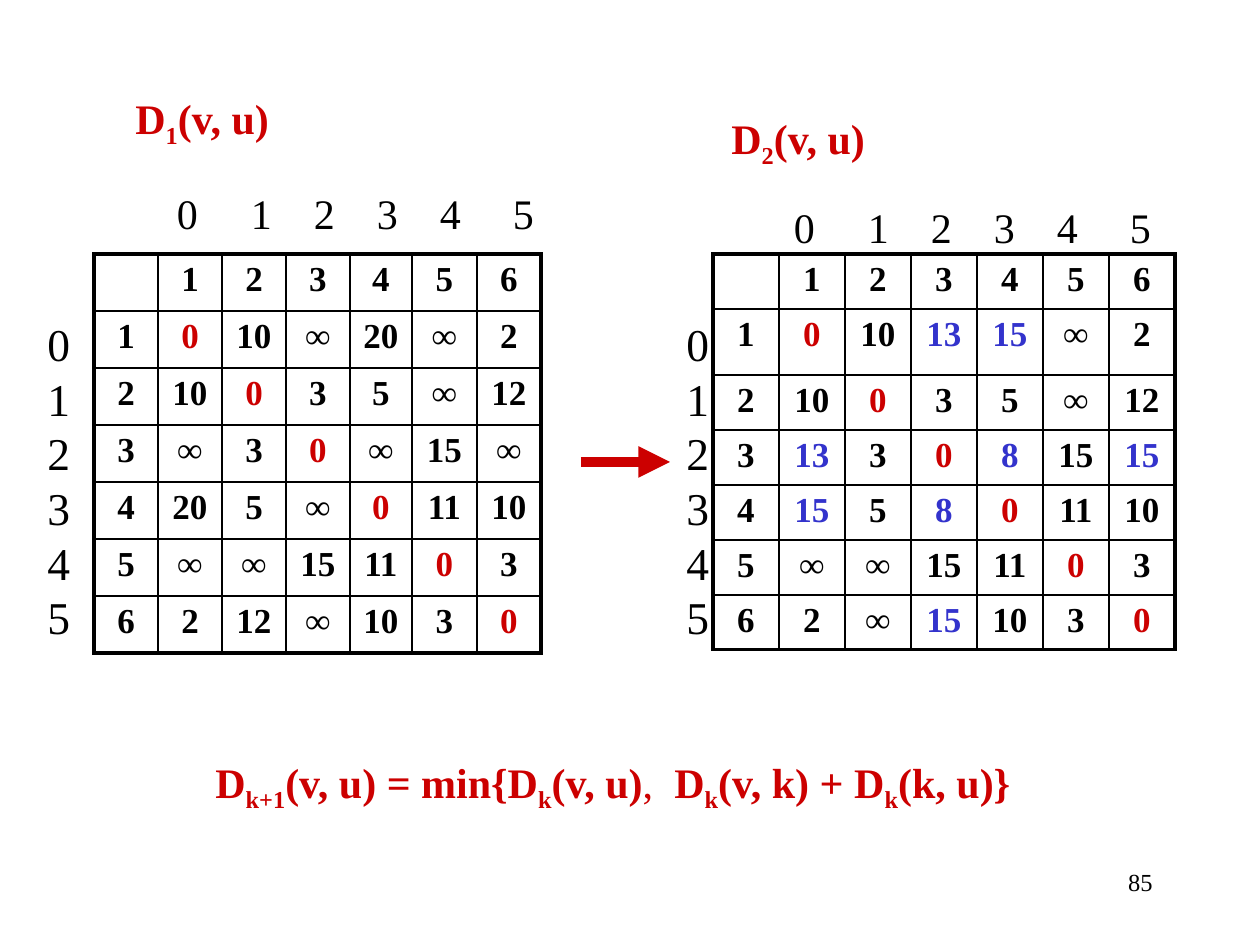
from dataclasses import dataclass

from lxml.etree import SubElement
from pptx import Presentation
from pptx.dml.color import RGBColor
from pptx.enum.shapes import MSO_CONNECTOR
from pptx.enum.text import MSO_AUTO_SIZE, PP_ALIGN
from pptx.oxml.ns import qn
from pptx.util import Emu, Pt


@dataclass(frozen=True)
class Theme:
    font: str = "Times New Roman"
    black: RGBColor = RGBColor(0x00, 0x00, 0x00)
    red: RGBColor = RGBColor(0xCC, 0x00, 0x00)
    blue: RGBColor = RGBColor(0x33, 0x33, 0xCC)
    formula: int = 24
    row_label: int = 26
    cell: int = 20
    page: int = 14
    thin: float = 1
    thick: float = 2.25
    arrow: int = 6


THEME = Theme()
INFINITY = "∞"
D1 = [
    "0 10 ∞ 20 ∞ 2".split(),
    "10 0 3 5 ∞ 12".split(),
    "∞ 3 0 ∞ 15 ∞".split(),
    "20 5 ∞ 0 11 10".split(),
    "∞ ∞ 15 11 0 3".split(),
    "2 12 ∞ 10 3 0".split(),
]
D2 = [
    "0 10 13 15 ∞ 2".split(),
    "10 0 3 5 ∞ 12".split(),
    "13 3 0 8 15 15".split(),
    "15 5 8 0 11 10".split(),
    "∞ ∞ 15 11 0 3".split(),
    "2 ∞ 15 10 3 0".split(),
]
INDICES = [str(i) for i in range(6)]


def px(n):
    return Emu(round(n * 914400 / 126))


def style_run(r, size, color, bold=False):
    r.font.name = THEME.font
    r.font.size = Pt(size)
    r.font.bold = bold
    r.font.color.rgb = color


def add_text_box(s, x, y, w, h):
    tf = s.shapes.add_textbox(px(x), px(y), px(w), px(h)).text_frame
    tf.word_wrap = True
    tf.auto_size = MSO_AUTO_SIZE.SHAPE_TO_FIT_TEXT
    return tf


def add_tab_stops(p, stops):
    tabs = SubElement(p._p.get_or_add_pPr(), qn("a:tabLst"))
    for stop in stops:
        SubElement(tabs, qn("a:tab"), pos=str(px(stop)), algn="l")


def add_formula(s, x, y, w, parts, stops=()):
    p = add_text_box(s, x, y, w, 63).paragraphs[0]
    if stops:
        add_tab_stops(p, stops)
    for text, kind in parts:
        r = p.add_run()
        r.text = text
        style_run(r, THEME.formula, THEME.red, kind != "plain")
        if kind == "sub":
            r._r.get_or_add_rPr().set("baseline", "-25000")


def add_column_labels(s, x, y):
    tf = add_text_box(s, x, y, 413, 63)
    tf.margin_left = px(23)
    p = tf.paragraphs[0]
    add_tab_stops(p, [74, 137, 200, 263, 336])
    p.text = "\t".join(INDICES)
    style_run(p.runs[0], THEME.formula, THEME.black)


def add_row_labels(s, x, y):
    tf = add_text_box(s, x, y, 105, 340)
    tf.text = "\n".join(INDICES)
    for p in tf.paragraphs:
        p.line_spacing = Pt(31.2)
        style_run(p.runs[0], THEME.row_label, THEME.black)


def add_page_number(s, number):
    p = add_text_box(s, 903, 861, 262, 63).paragraphs[0]
    p.text = number
    p.alignment = PP_ALIGN.RIGHT
    style_run(p.runs[0], THEME.page, THEME.black)


def add_arrow(s, x1, x2, y):
    line = s.shapes.add_connector(MSO_CONNECTOR.STRAIGHT, px(x1), px(y), px(x2), px(y))
    line.line.color.rgb = THEME.red
    line.line.width = Pt(THEME.arrow)
    SubElement(line.line._get_or_add_ln(), qn("a:tailEnd"), type="triangle")
    SubElement(line._element.spPr, qn("a:effectLst"))


def set_borders(cell, row, col, last):
    outer = {"lnL": col == 0, "lnR": col == last, "lnT": row == 0, "lnB": row == last}
    tcPr = cell._tc.get_or_add_tcPr()
    for tag, is_outer in outer.items():
        width = Pt(THEME.thick if is_outer else THEME.thin)
        ln = SubElement(tcPr, qn(f"a:{tag}"), w=str(width))
        fill = SubElement(ln, qn("a:solidFill"))
        SubElement(fill, qn("a:srgbClr"), val=str(THEME.black))


def cell_color(row, col, value, previous):
    if row == 0 or col == 0:
        return THEME.black
    if row == col:
        return THEME.red
    if value != INFINITY and value != previous[row - 1][col - 1]:
        return THEME.blue
    return THEME.black


def add_distance_table(s, x, y, distances, previous, widths, heights):
    nodes = [str(i + 1) for i in range(len(distances))]
    grid = [["", *nodes]] + [[node, *values] for node, values in zip(nodes, distances)]
    size = len(grid)
    frame = s.shapes.add_table(size, size, px(x), px(y), px(sum(widths)), px(sum(heights)))
    table = frame.table
    table.first_row = table.horz_banding = False
    for column, width in zip(table.columns, widths):
        column.width = px(width)
    for i, (values, height) in enumerate(zip(grid, heights)):
        table.rows[i].height = px(height)
        for j, value in enumerate(values):
            cell = table.cell(i, j)
            set_borders(cell, i, j, size - 1)
            cell.fill.background()
            if value:
                p = cell.text_frame.paragraphs[0]
                p.text = value
                p.alignment = PP_ALIGN.CENTER
                style_run(p.runs[0], THEME.cell, cell_color(i, j, value, previous), True)


def main():
    prs = Presentation()
    prs.slide_width, prs.slide_height = px(1260), px(945)
    s = prs.slides.add_slide(prs.slide_layouts[6])

    add_formula(s, 123, 86, 483, [("D", "bold"), ("1", "sub"), ("(v, u)", "bold")])
    add_column_labels(s, 154, 181)
    add_row_labels(s, 35, 310)
    add_arrow(s, 581, 670, 462)
    add_column_labels(s, 771, 195)
    add_row_labels(s, 674, 310)
    add_formula(s, 719, 106, 483, [("D", "bold"), ("2", "sub"), ("(v, u)", "bold")])
    add_distance_table(s, 94, 254, D1, D1, [64] * 4 + [62, 65, 64], [57] * 7)
    add_distance_table(s, 713, 254, D2, D1, [66] * 7, [55, 66] + [55] * 5)
    recurrence = [
        ("D", "bold"), ("k+1", "sub"), ("(v, u) = min{D", "bold"), ("k", "sub"),
        ("(v, u)", "bold"), (",\t", "plain"), ("D", "bold"), ("k", "sub"),
        ("(v, k) + D", "bold"), ("k", "sub"), ("(k, u)}", "bold"),
    ]
    add_formula(s, 203, 750, 839, recurrence, [459])
    add_page_number(s, "85")
    prs.save("out.pptx")


if __name__ == "__main__":
    main()
